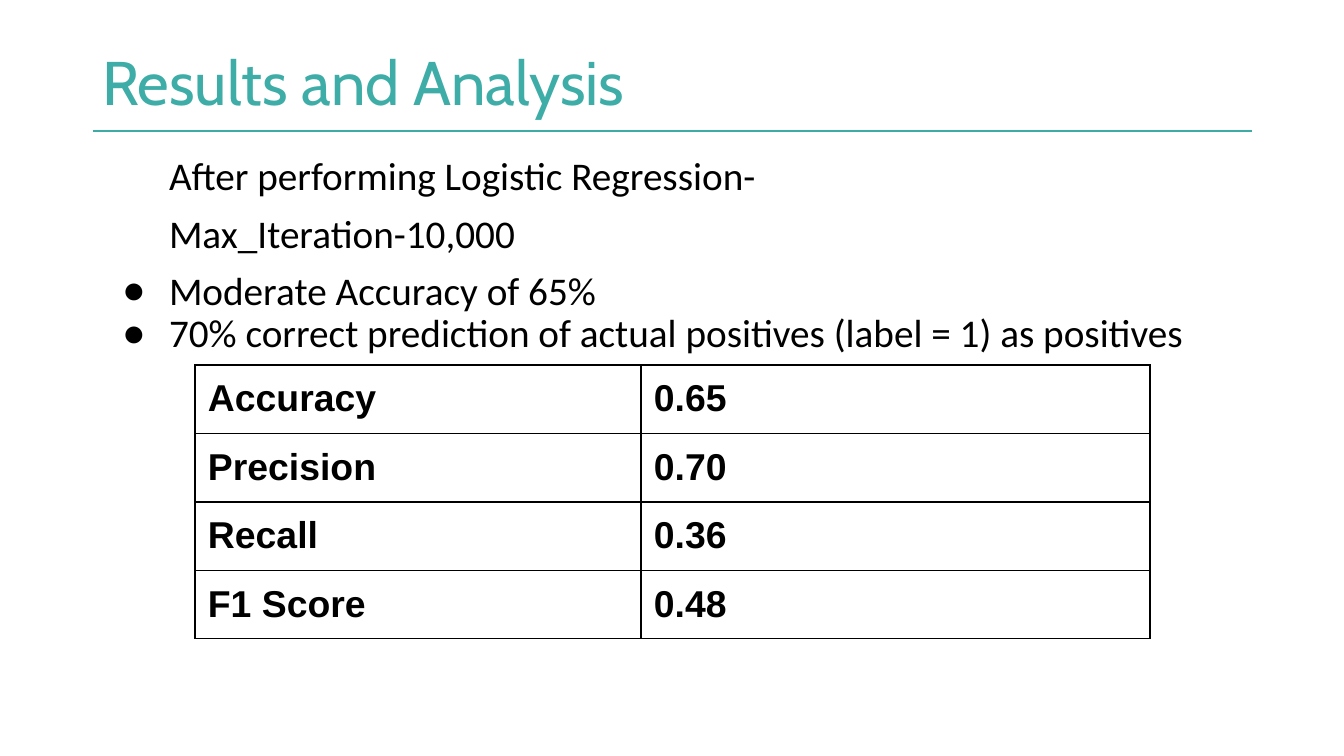
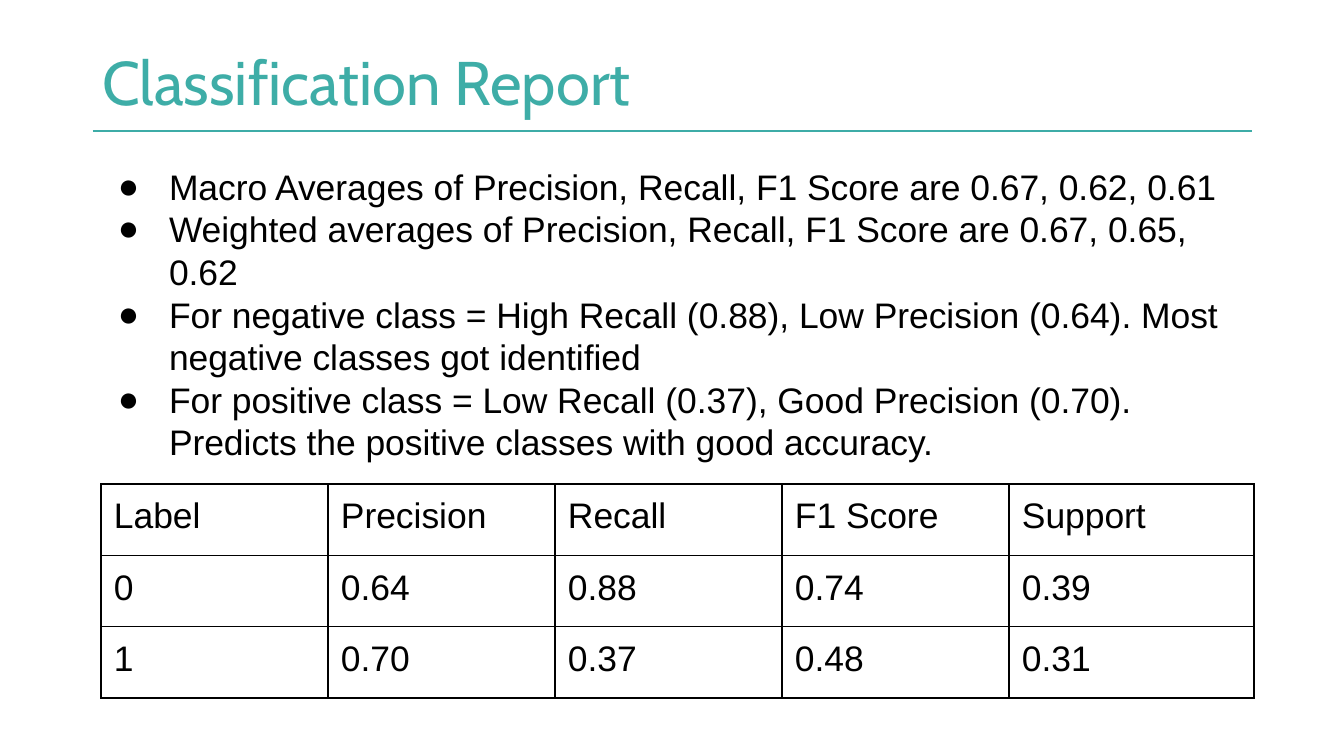
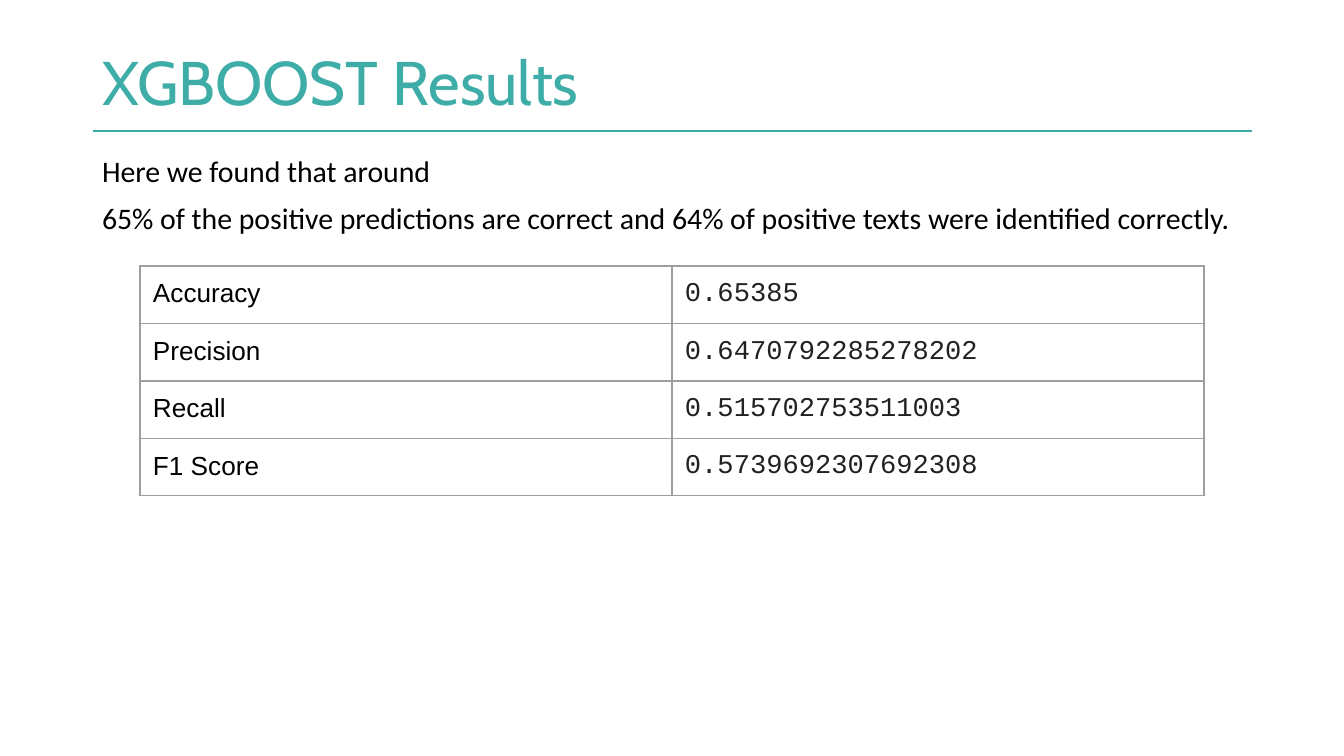
import lxml.etree
import pptx
import pptx.dml.color
import pptx.enum.shapes
import pptx.enum.text
import pptx.oxml.ns
import pptx.util

PX = 914400 / 134.4
TEAL, RULE_TEAL = "3EADA7", "3DACA7"
BLACK, CHARCOAL, GREY = "000000", "212121", "9E9E9E"
LEFT, CONTENT_WIDTH = 93, 1159
INSETS = {"margin_left": 9, "margin_right": 9, "margin_top": 5, "margin_bottom": 5}
CELL_INSETS = dict.fromkeys(INSETS, 13)
BULLET_TEXT_INDENT = 67


def px(length):
    """Turn px into EMU."""
    return pptx.util.Emu(round(length * PX))


def rgb(colour):
    """Turn a hex string into a colour."""
    return pptx.dml.color.RGBColor.from_string(colour)


def set_values(target, values):
    """Set each named attribute of the target."""
    for name, value in values.items():
        setattr(target, name, value)


def set_insets(target, insets):
    """Set the inner margins, given in px."""
    set_values(target, {side: px(inset) for side, inset in insets.items()})


def font_format(name, size, colour, bold=False):
    """Describe a font."""
    return {"name": name, "size": pptx.util.Pt(size), "bold": bold}, colour


def set_font(font, style):
    """Apply a described font."""
    values, colour = style
    set_values(font, values)
    font.color.rgb = rgb(colour)


def add_xml(parent, tag, **attributes):
    """Append a DrawingML element."""
    return lxml.etree.SubElement(parent, pptx.oxml.ns.qn(f"a:{tag}"), attributes)


def add_solid_fill(parent, colour):
    """Append a solid fill."""
    add_xml(add_xml(parent, "solidFill"), "srgbClr", val=colour)


def place(placeholder, left, top, width, height, anchor):
    """Move a placeholder and return its prepared text frame."""
    set_values(placeholder, {"left": px(left), "top": px(top),
                             "width": px(width), "height": px(height)})
    frame = placeholder.text_frame
    set_insets(frame, INSETS)
    set_values(frame, {"word_wrap": True, "vertical_anchor": anchor,
                       "auto_size": pptx.enum.text.MSO_AUTO_SIZE.NONE})
    return frame


def fill_paragraph(paragraph, text, style, line_spacing, before=0):
    """Write one left-aligned paragraph."""
    paragraph.text = text
    set_values(paragraph, {"alignment": pptx.enum.text.PP_ALIGN.LEFT,
                           "line_spacing": line_spacing,
                           "space_before": pptx.util.Pt(before),
                           "space_after": pptx.util.Pt(0)})
    set_font(paragraph.runs[0].font, style)


def set_bullet(paragraph, indent, hanging):
    """Set the indent, with a round bullet where the first line hangs."""
    properties = paragraph._p.get_or_add_pPr()
    properties.set("marL", str(px(indent)))
    properties.set("indent", str(px(-hanging)))
    if hanging:
        add_xml(add_xml(properties, "buClr"), "srgbClr", val=BLACK)
        add_xml(properties, "buFont", typeface="Arial")
        add_xml(properties, "buChar", char="●")
    else:
        add_xml(properties, "buNone")


def add_report_slide(deck, title):
    """Add a slide with its title and the rule below."""
    slide = deck.slides.add_slide(deck.slide_layouts[1])
    frame = place(slide.shapes.title, LEFT, 40, 1042, 91,
                  pptx.enum.text.MSO_ANCHOR.MIDDLE)
    fill_paragraph(frame.paragraphs[0], title, font_format("Cabin", 33, TEAL), 0.9)
    rule = slide.shapes.add_connector(pptx.enum.shapes.MSO_CONNECTOR.STRAIGHT,
                                      px(LEFT), px(131), px(LEFT + CONTENT_WIDTH), px(131))
    rule.line.color.rgb = rgb(RULE_TEAL)
    rule.line.width = pptx.util.Pt(0.75)
    add_xml(rule._element.spPr, "effectLst")
    return slide


def add_findings(slide, top, style, line_spacing, findings):
    """Write findings given as text, indent, hanging and space before."""
    frame = place(slide.placeholders[1], LEFT, top, CONTENT_WIDTH, 682 - top,
                  pptx.enum.text.MSO_ANCHOR.TOP)
    for index, (text, indent, hanging, before) in enumerate(findings):
        paragraph = frame.add_paragraph() if index else frame.paragraphs[0]
        fill_paragraph(paragraph, text, style, line_spacing, before)
        set_bullet(paragraph, indent, hanging)


def set_borders(cell, colour):
    """Draw all four borders of a cell."""
    properties = cell._tc.get_or_add_tcPr()
    for side in ("lnL", "lnR", "lnT", "lnB"):
        add_solid_fill(add_xml(properties, side, w=str(pptx.util.Pt(0.75))), colour)


def add_scores(slide, left, top, height, widths, rows, styles, border=BLACK):
    """Add a score table with one font style per column."""
    table = slide.shapes.add_table(len(rows), len(widths), px(left), px(top),
                                   px(sum(widths)), px(height)).table
    set_values(table, {"first_row": False, "horz_banding": False})
    for column, width in zip(table.columns, widths):
        column.width = px(width)
    for row, scores in zip(table.rows, rows):
        for cell, score, style in zip(row.cells, scores, styles):
            cell.text = score
            set_font(cell.text_frame.paragraphs[0].runs[0].font, style)
            set_insets(cell, CELL_INSETS)
            set_borders(cell, border)
            cell.fill.background()


def main():
    """Build the deck."""
    deck = pptx.Presentation()
    set_values(deck, {"slide_width": px(1344), "slide_height": px(756)})
    metrics = ("Accuracy", "Precision", "Recall", "F1 Score")

    regression = add_report_slide(deck, "Results and Analysis")
    add_findings(regression, 152, font_format("Calibri", 21, BLACK), 0.9, [
        ("After performing Logistic Regression-", BULLET_TEXT_INDENT, 0, 8),
        ("Max_Iteration-10,000", BULLET_TEXT_INDENT, 0, 8),
        ("Moderate Accuracy of 65%", BULLET_TEXT_INDENT, 47, 8),
        ("70% correct prediction of actual positives (label = 1) as positives",
         BULLET_TEXT_INDENT, 47, 0),
    ])
    add_scores(regression, 195, 365, 274, [446, 509],
               list(zip(metrics, ("0.65", "0.70", "0.36", "0.48"))),
               [font_format("Arial", 20, BLACK, True)] * 2)

    classification = add_report_slide(deck, "Classification Report")
    report_font = font_format("Arial", 19, BLACK)
    add_findings(classification, 160, report_font, 1.0, [
        (text, BULLET_TEXT_INDENT, 51, 0) for text in (
            "Macro Averages of Precision, Recall, F1 Score are 0.67, 0.62, 0.61",
            "Weighted averages of Precision, Recall, F1 Score are 0.67, 0.65, 0.62",
            "For negative class = High Recall (0.88), Low Precision (0.64). "
            "Most negative classes got identified",
            "For positive class = Low Recall (0.37), Good Precision (0.70). "
            "Predicts the positive classes with good accuracy.",
        )
    ])
    add_scores(classification, 101, 484, 214, [227] * 4 + [245], [
        ("Label", "Precision", "Recall", "F1 Score", "Support"),
        ("0", "0.64", "0.88", "0.74", "0.39"),
        ("1", "0.70", "0.37", "0.48", "0.31"),
    ], [report_font] * 5)

    boosting = add_report_slide(deck, "XGBOOST Results")
    add_findings(boosting, 152, font_format("Calibri", 16, BLACK), 0.9, [
        ("Here we found that around", 0, 0, 8),
        ("65% of the positive predictions are correct and 64% of positive texts "
         "were identified correctly.", 0, 0, 8),
    ])
    add_scores(boosting, 140, 266, 230, [532, 532],
               list(zip(metrics, ("0.65385", "0.6470792285278202",
                                  "0.515702753511003", "0.5739692307692308"))),
               [font_format("Arial", 14, BLACK),
                font_format("Courier New", 14.5, CHARCOAL)], GREY)

    deck.save("out.pptx")


if __name__ == "__main__":
    main()
